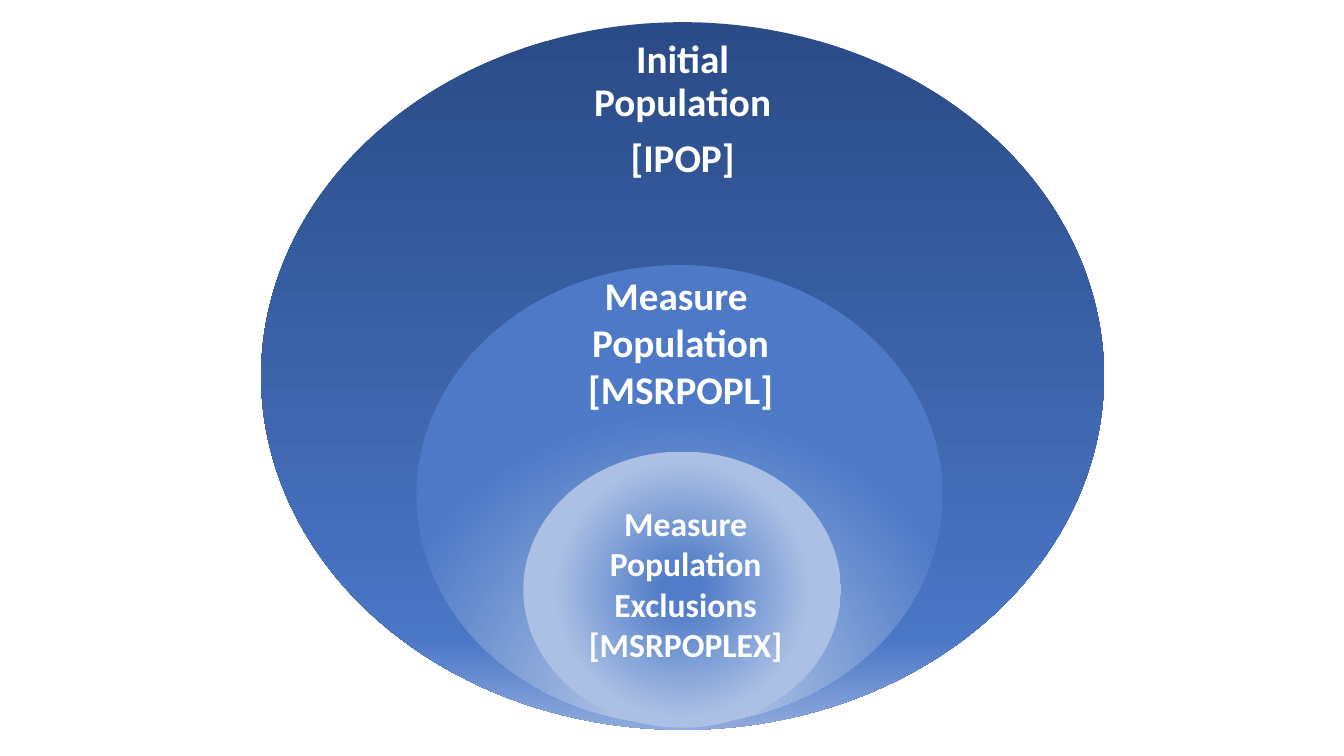
from pptx import Presentation
from pptx.dml.color import RGBColor
from pptx.enum.shapes import MSO_SHAPE
from pptx.enum.text import MSO_ANCHOR, MSO_AUTO_SIZE, PP_ALIGN
from pptx.oxml import parse_xml
from pptx.oxml.ns import nsdecls, qn
from pptx.util import Inches, Pt

OVAL = MSO_SHAPE.OVAL
CENTER = PP_ALIGN.CENTER
TOP, MIDDLE = MSO_ANCHOR.TOP, MSO_ANCHOR.MIDDLE
GROW = MSO_AUTO_SIZE.SHAPE_TO_FIT_TEXT
FIXED = MSO_AUTO_SIZE.NONE

FONT = "Calibri"
COLORS = {
    "text": "FFFFFF",
    "navy": "2A4B86",
    "blue": "4A76C6",
    "sky": "8FAADC",
    "measure_glow": "B4C7E7",
    "measure_edge": "4D79C7",
    "exclusion_core": "517CC8",
    "exclusion_edge": "ABC0E4",
}
DOWNWARD = '<a:lin ang="5400000" scaled="0"/>'
RADIAL = '<a:path path="circle"><a:fillToRect l="50000" t="{}" r="50000" b="{}"/></a:path>'


def add_population(page, place, stops, direction):
    """Add a borderless ellipse with a gradient of (percent, color name) stops."""
    ellipse = page.shapes.add_shape(OVAL, *map(Inches, place))
    ellipse.shadow.inherit = False
    ellipse.line.fill.background()
    stop_xml = "".join(
        f'<a:gs pos="{percent * 1000}"><a:srgbClr val="{COLORS[name]}"/></a:gs>'
        for percent, name in stops
    )
    gradient = parse_xml(
        f'<a:gradFill {nsdecls("a")} rotWithShape="1">'
        f"<a:gsLst>{stop_xml}</a:gsLst>{direction}</a:gradFill>"
    )
    ellipse._element.spPr.find(qn("a:prstGeom")).addnext(gradient)


def add_label(page, place, lines, size, anchor=TOP, auto_size=GROW,
              inset=None, spacing=None, after=None):
    """Add a centred bold white label with one paragraph per line."""
    box = page.shapes.add_textbox(*map(Inches, place))
    frame = box.text_frame
    frame.word_wrap = True
    frame.auto_size = auto_size
    frame.vertical_anchor = anchor
    if inset is not None:
        frame.margin_left = frame.margin_right = Inches(inset)
        frame.margin_top = frame.margin_bottom = Inches(inset)
    for index, line in enumerate(lines):
        para = frame.add_paragraph() if index else frame.paragraphs[0]
        para.alignment = CENTER
        para.line_spacing = spacing
        para.space_after = after
        span = para.add_run()
        span.text = line
        span.font.name = FONT
        span.font.size = Pt(size)
        span.font.bold = True
        span.font.color.rgb = RGBColor.from_string(COLORS["text"])


deck = Presentation()
deck.slide_width = Inches(13.33)
deck.slide_height = Inches(7.5)
page = deck.slides.add_slide(deck.slide_layouts[6])

# Nested populations, outermost first
populations = [
    ((2.59, 0.22, 8.36, 7.02),
     [(0, "navy"), (87, "blue"), (100, "sky")], DOWNWARD),
    ((4.13, 2.63, 5.22, 4.56),
     [(10, "measure_glow"), (90, "measure_edge")], RADIAL.format(130000, -30000)),
    ((5.19, 4.48, 3.15, 2.74),
     [(9, "exclusion_core"), (61, "exclusion_edge")], RADIAL.format(50000, 50000)),
]
for place, stops, direction in populations:
    add_population(page, place, stops, direction)

# Population labels
add_label(page, (5.31, 0.57, 2.92, 1.05), ["Initial Population", "[IPOP]"], 28,
          anchor=MIDDLE, auto_size=FIXED, inset=0.22, spacing=0.9, after=Pt(9.8))
add_label(page, (5.68, 2.64, 2.14, 1.82),
          ["Measure ", "Population", "[MSRPOPL]"], 28)
add_label(page, (5.59, 4.94, 2.42, 2.02),
          ["Measure Population Exclusions", "[MSRPOPLEX]"], 24)

deck.save("out.pptx")
